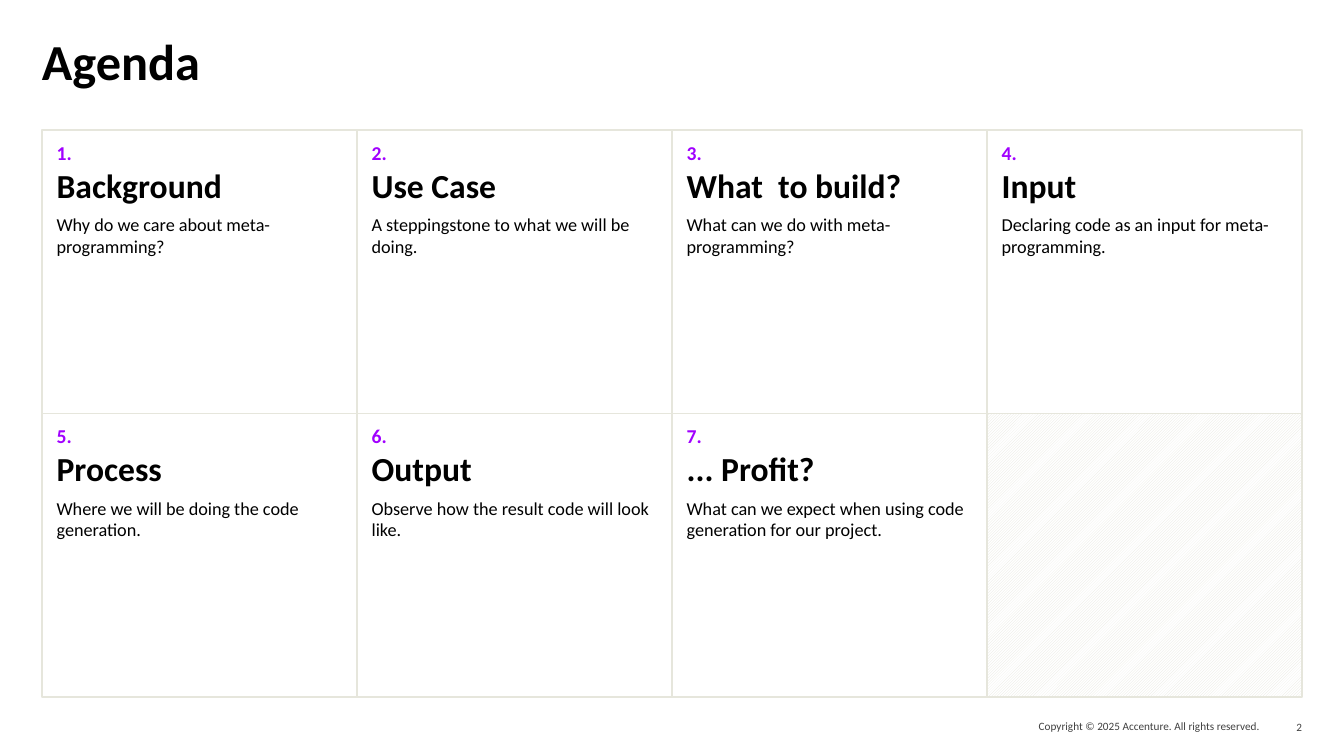
from dataclasses import dataclass

from pptx import Presentation
from pptx.dml.color import RGBColor
from pptx.enum.dml import MSO_PATTERN
from pptx.enum.shapes import MSO_SHAPE
from pptx.enum.text import MSO_ANCHOR, PP_ALIGN
from pptx.shapes.autoshape import Shape
from pptx.slide import Slide
from pptx.text.text import TextFrame
from pptx.util import Emu, Pt

RECTANGLE = MSO_SHAPE.RECTANGLE
STRIPES = MSO_PATTERN.DARK_UPWARD_DIAGONAL
TOP, MIDDLE = MSO_ANCHOR.TOP, MSO_ANCHOR.MIDDLE
LEFT, RIGHT = PP_ALIGN.LEFT, PP_ALIGN.RIGHT

BLACK = RGBColor(0x00, 0x00, 0x00)
WHITE = RGBColor(0xFF, 0xFF, 0xFF)
GREY = RGBColor(0x40, 0x40, 0x40)
PURPLE = RGBColor(0xA1, 0x00, 0xFF)
SAND = RGBColor(0xE6, 0xE6, 0xDC)

FONT = "Calibri"
EMU_PER_PX = 9525
MARGIN = 40
GRID_TOP = 124
COLUMNS, ROWS = 4, 2
CELL_WIDTH, CELL_HEIGHT = 300, 270


@dataclass(frozen=True)
class Style:
    size: int
    color: RGBColor
    bold: bool = False
    align: PP_ALIGN = LEFT
    line_spacing: float = 1.0
    space_after: int = 0


@dataclass(frozen=True)
class Label:
    text: str
    left: int
    top: int
    width: int
    height: int
    style: Style
    anchor: MSO_ANCHOR = MIDDLE


@dataclass(frozen=True)
class Topic:
    heading: str
    summary: str


TITLE = Style(36, BLACK, bold=True, line_spacing=0.8)
FOOTER = Style(8, GREY, align=RIGHT, space_after=12)
NUMBER = Style(14, PURPLE, bold=True, space_after=6)
HEADING = Style(24, BLACK, bold=True, line_spacing=0.8, space_after=6)
SUMMARY = Style(13, BLACK, space_after=12)

LABELS = [
    Label("Copyright © 2025 Accenture. All rights reserved.", 874, 681, 326, 21, FOOTER),
    Label("2", 1200, 681, 40, 22, FOOTER),
    Label("Agenda", MARGIN, 40, 1200, 104, TITLE, TOP),
]

TOPICS = [
    Topic("Background", "Why do we care about meta-programming?"),
    Topic("Use Case", "A steppingstone to what we will be doing."),
    Topic("What  to build?", "What can we do with meta-programming?"),
    Topic("Input", "Declaring code as an input for meta-programming."),
    Topic("Process", "Where we will be doing the code generation."),
    Topic("Output", "Observe how the result code will look like."),
    Topic("... Profit?", "What can we expect when using code generation for our project."),
]


def px(length: int) -> Emu:
    return Emu(length * EMU_PER_PX)


def set_frame(frame: TextFrame, anchor: MSO_ANCHOR, side: int = 0, top: int = 0) -> None:
    frame.word_wrap = True
    frame.vertical_anchor = anchor
    frame.margin_left = frame.margin_right = px(side)
    frame.margin_top = px(top)
    frame.margin_bottom = px(0)


def write(frame: TextFrame, lines: list[tuple[str, Style]]) -> None:
    for index, (text, style) in enumerate(lines):
        para = frame.add_paragraph() if index else frame.paragraphs[0]
        para.alignment = style.align
        para.line_spacing = style.line_spacing
        para.space_after = Pt(style.space_after)
        span = para.add_run()
        span.text = text
        span.font.name = FONT
        span.font.size = Pt(style.size)
        span.font.bold = style.bold
        span.font.color.rgb = style.color


def add_label(page: Slide, label: Label) -> None:
    box = page.shapes.add_textbox(
        px(label.left), px(label.top), px(label.width), px(label.height)
    )
    set_frame(box.text_frame, label.anchor)
    write(box.text_frame, [(label.text, label.style)])


def add_cell(page: Slide, index: int) -> Shape:
    row, column = divmod(index, COLUMNS)
    cell = page.shapes.add_shape(
        RECTANGLE,
        px(MARGIN + column * CELL_WIDTH),
        px(GRID_TOP + row * CELL_HEIGHT),
        px(CELL_WIDTH),
        px(CELL_HEIGHT),
    )
    cell.shadow.inherit = False
    cell.line.color.rgb = SAND
    cell.line.width = Pt(1)
    return cell


def add_topic(page: Slide, index: int, topic: Topic) -> None:
    cell = add_cell(page, index)
    cell.fill.solid()
    cell.fill.fore_color.rgb = WHITE
    set_frame(cell.text_frame, TOP, side=14, top=10)
    write(
        cell.text_frame,
        [(f"{index + 1}.", NUMBER), (topic.heading, HEADING), (topic.summary, SUMMARY)],
    )


def add_striped_cell(page: Slide, index: int) -> None:
    cell = add_cell(page, index)
    cell.fill.patterned()
    cell.fill.pattern = STRIPES
    cell.fill.fore_color.rgb = SAND
    cell.fill.back_color.rgb = WHITE


def main() -> None:
    deck = Presentation()
    deck.slide_width, deck.slide_height = px(1280), px(720)
    page = deck.slides.add_slide(deck.slide_layouts[6])
    for label in LABELS:
        add_label(page, label)
    for index, topic in enumerate(TOPICS):
        add_topic(page, index, topic)
    for index in range(len(TOPICS), COLUMNS * ROWS):
        add_striped_cell(page, index)
    deck.save("out.pptx")


if __name__ == "__main__":
    main()
